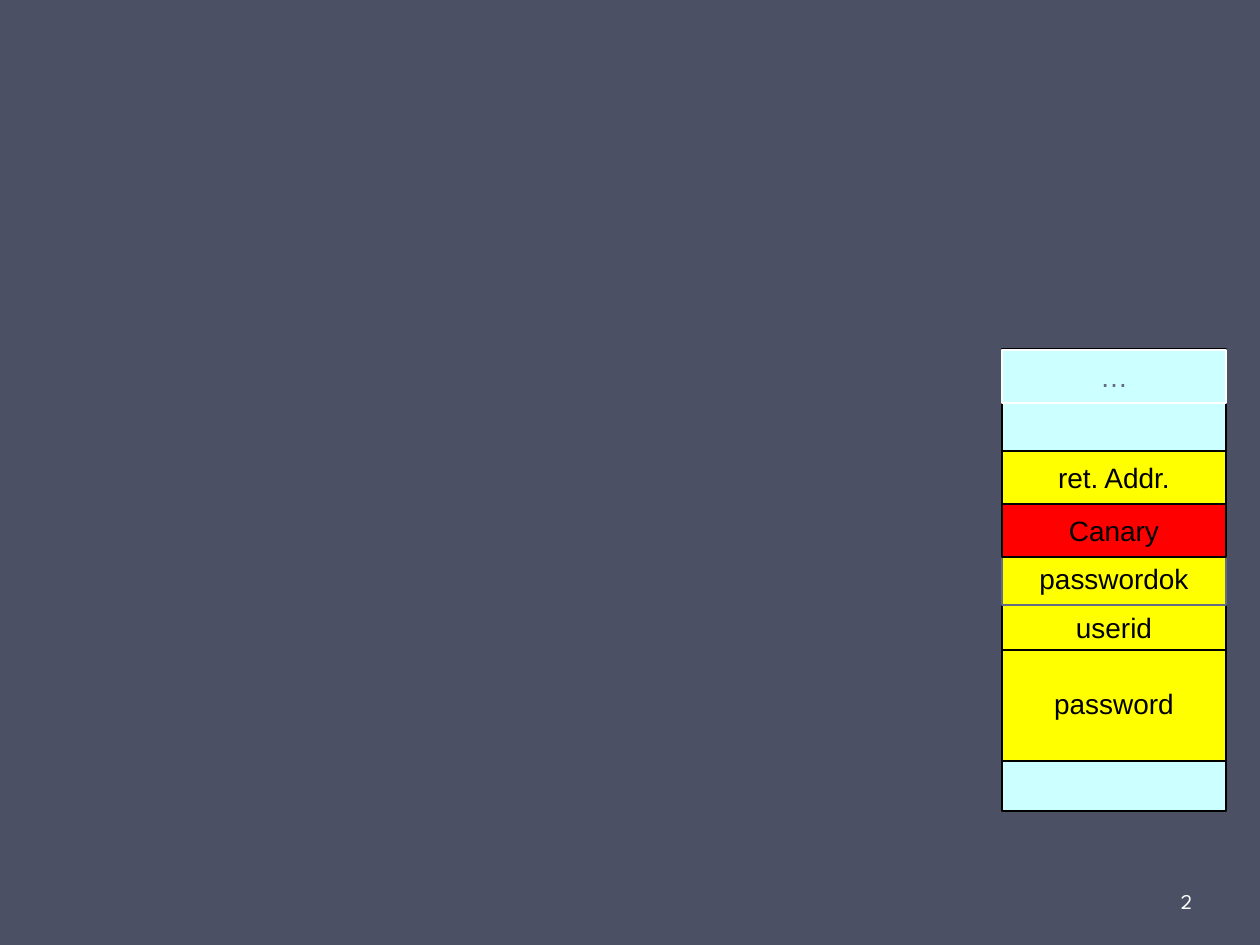
from pptx import Presentation
from pptx.dml.color import RGBColor
from pptx.enum.shapes import MSO_SHAPE
from pptx.enum.text import MSO_ANCHOR, PP_ALIGN
from pptx.util import Emu, Pt

PX_PER_INCH = 126

SLATE = RGBColor(0x4B, 0x50, 0x64)
GREY = RGBColor(0x64, 0x6B, 0x86)
CYAN = RGBColor(0xCC, 0xFF, 0xFF)
YELLOW = RGBColor(0xFF, 0xFF, 0x00)
RED = RGBColor(0xFF, 0x00, 0x00)
BLACK = RGBColor(0x00, 0x00, 0x00)
WHITE = RGBColor(0xFF, 0xFF, 0xFF)

STACK_LEFT, STACK_TOP = 1002, 349
STACK_WIDTH, STACK_HEIGHT = 224, 462

# Stack cells from back to front: label, top, height, fill, line, text colour
CELLS = [
    ("password", 645, 116, YELLOW, BLACK, BLACK),
    ("userid", 605, 45, YELLOW, BLACK, BLACK),
    ("passwordok", 552, 53, YELLOW, GREY, BLACK),
    ("ret. Addr.", 451, 53, YELLOW, BLACK, BLACK),
    ("…", 350, 53, CYAN, WHITE, GREY),
    ("Canary", 504, 53, RED, BLACK, BLACK),
]


def px(length):
    return Emu(round(length * 914400 / PX_PER_INCH))


def set_attributes(target, formats):
    for name, value in formats.items():
        setattr(target, name, value)


def write(frame, text, font_name, size, color, align):
    paragraph = frame.paragraphs[0]
    paragraph.alignment = align
    run = paragraph.add_run()
    run.text = text
    set_attributes(run.font, {"name": font_name, "size": Pt(size)})
    run.font.color.rgb = color


def add_block(slide, top, height, fill, line):
    block = slide.shapes.add_shape(
        MSO_SHAPE.RECTANGLE, px(STACK_LEFT), px(top), px(STACK_WIDTH), px(height))
    block.shadow.inherit = False
    block.fill.solid()
    block.fill.fore_color.rgb = fill
    block.line.color.rgb = line
    block.line.width = Pt(0.75)
    return block


def add_cell(slide, label, top, height, fill, line, color):
    frame = add_block(slide, top, height, fill, line).text_frame
    set_attributes(frame, {"word_wrap": False, "vertical_anchor": MSO_ANCHOR.MIDDLE})
    write(frame, label, "Arial", 16, color, PP_ALIGN.CENTER)


def add_page_number(slide, number):
    frame = slide.shapes.add_textbox(px(1177), px(876), px(77), px(50)).text_frame
    set_attributes(frame, {
        "word_wrap": True,
        "vertical_anchor": MSO_ANCHOR.MIDDLE,
        "margin_left": px(4),
        "margin_right": px(6),
        "margin_top": px(6),
        "margin_bottom": px(6),
    })
    write(frame, number, "League Spartan", 12, WHITE, PP_ALIGN.LEFT)


def main():
    presentation = Presentation()
    set_attributes(presentation, {"slide_width": px(1260), "slide_height": px(945)})
    slide = presentation.slides.add_slide(presentation.slide_layouts[6])
    slide.background.fill.solid()
    slide.background.fill.fore_color.rgb = SLATE

    add_page_number(slide, "2")

    # Memory stack: one backing column, then its labelled cells
    add_block(slide, STACK_TOP, STACK_HEIGHT, CYAN, BLACK)
    for cell in CELLS:
        add_cell(slide, *cell)

    presentation.save("out.pptx")


if __name__ == "__main__":
    main()
